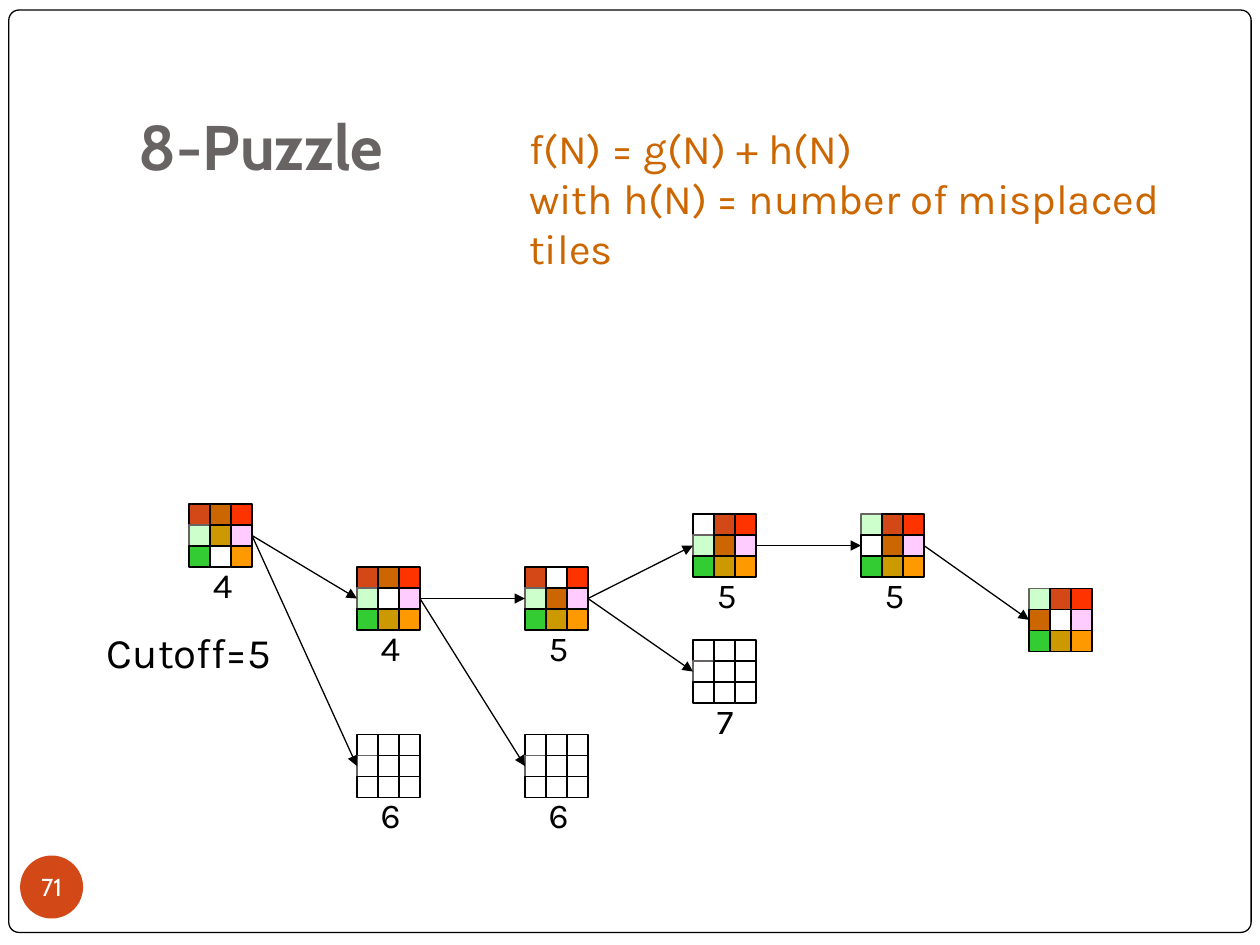
import pptx
import pptx.dml.color
import pptx.enum.shapes
import pptx.enum.text
import pptx.oxml
import pptx.util
from pptx.util import Inches

SHAPE = pptx.enum.shapes.MSO_SHAPE
ANCHOR = pptx.enum.text.MSO_ANCHOR
ALIGN = pptx.enum.text.PP_ALIGN

BLACK, WHITE, GREY, BRICK, BROWN = "000000", "FFFFFF", "696464", "D34817", "CC6600"
# Tile letter: fill, outline
TILES = {
    "D": (BRICK, BLACK), "O": (BROWN, BLACK), "R": ("FF3300", BLACK),
    "L": ("CCFFCC", GREY), "M": ("CC9900", BLACK), "P": ("FFCCFF", BLACK),
    "G": ("33CC33", BLACK), "A": ("FF9900", BLACK),
    "W": (WHITE, BLACK), "E": (WHITE, GREY),
}
UNEXPANDED = "WWWEWWWWW"
BOARD = 0.5
TILE = BOARD / 3
COLUMN_X = [1.5 + col * 4 / 3 for col in range(6)]

# Node: column, top, tiles row by row, cost, parent
NODES = {
    "start": (0, 4, "DORLMPGWA", "4", None),
    "up": (1, 4.5, "DORLWPGMA", "4", "start"),
    "start cut": (1, 5.83, UNEXPANDED, "6", "start"),
    "up cut": (2, 5.83, UNEXPANDED, "6", "up"),
    "up twice": (2, 4.5, "DWRLOPGMA", "5", "up"),
    "right cut": (3, 5.08, UNEXPANDED, "7", "up twice"),
    "left": (3, 4.08, "WDRLOPGMA", "5", "up twice"),
    "down": (4, 4.08, "LDRWOPGMA", "5", "left"),
    "right": (5, 4.67, "LDROWPGMA", None, "down"),
}


def rgb(color):
    return pptx.dml.color.RGBColor.from_string(color)


def add_block(shapes, kind, box, fill, line=None):
    sp = shapes.add_shape(kind, *map(Inches, box))
    sp.shadow.inherit = False
    sp.fill.solid()
    sp.fill.fore_color.rgb = rgb(fill)
    if line:
        sp.line.color.rgb = rgb(line)
        sp.line.width = pptx.util.Pt(0.75)
    else:
        sp.line.fill.background()
    return sp


def set_text(sp, lines, size, color, font="Karla", bold=False, align=ALIGN.LEFT,
             anchor=ANCHOR.TOP, insets=(0.1, 0.05, 0.1, 0.05)):
    tf = sp.text_frame
    frame_format = {"word_wrap": True, "vertical_anchor": anchor,
                    "auto_size": pptx.enum.text.MSO_AUTO_SIZE.NONE}
    for side, inset in zip(("left", "top", "right", "bottom"), insets):
        frame_format["margin_" + side] = Inches(inset)
    for name, value in frame_format.items():
        setattr(tf, name, value)
    for i, line in enumerate(lines):
        p = tf.paragraphs[0] if i == 0 else tf.add_paragraph()
        p.alignment = align
        r = p.add_run()
        r.text = line
        for name, value in {"size": pptx.util.Pt(size), "name": font, "bold": bold}.items():
            setattr(r.font, name, value)
        r.font.color.rgb = rgb(color)


def add_text(shapes, box, lines, size, color):
    set_text(shapes.add_textbox(*map(Inches, box)), lines, size, color)


def add_arrow(shapes, start, end):
    line = shapes.add_connector(pptx.enum.shapes.MSO_CONNECTOR.STRAIGHT,
                                *map(Inches, (*start, *end)))
    line.line.color.rgb = rgb(BLACK)
    line.line.width = pptx.util.Pt(0.75)
    ns = 'xmlns:a="http://schemas.openxmlformats.org/drawingml/2006/main"'
    line.line._get_or_add_ln().append(
        pptx.oxml.parse_xml(f'<a:tailEnd {ns} type="triangle"/>'))
    line._element.spPr.append(pptx.oxml.parse_xml(f"<a:effectLst {ns}/>"))


def add_frame(s, box):
    frame = add_block(s.shapes, SHAPE.ROUNDED_RECTANGLE, box, WHITE, BLACK)
    frame.adjustments[0] = 0.011
    s.shapes._spTree.insert(2, frame._element)  # behind the title


def add_title(s, box):
    title = s.shapes.title
    for name, value in zip(("left", "top", "width", "height"), box):
        setattr(title, name, Inches(value))
    set_text(title, ["8-Puzzle"], 36, GREY, "Cabin", True,
             anchor=ANCHOR.BOTTOM, insets=(0.1, 0.05, 0.1, 0.1))


def add_page_number(s, box):
    badge = add_block(s.shapes, SHAPE.OVAL, box, BRICK)
    set_text(badge, ["71"], 14, WHITE, "Cabin", align=ALIGN.CENTER,
             anchor=ANCHOR.MIDDLE, insets=(0, 0, 0, 0))


def add_node(s, col, top, tiles, cost, parent):
    """Group a board with its cost and the arrow from its parent."""
    shapes = s.shapes.add_group_shape().shapes
    left = COLUMN_X[col]
    if cost:
        add_text(shapes, (left + 0.09, top + 0.42, 0.35, 0.43), [cost], 20, BLACK)
    for i, tile in enumerate(tiles):
        row, column = divmod(i, 3)
        box = (left + column * TILE, top + row * TILE, TILE, TILE)
        add_block(shapes, SHAPE.RECTANGLE, box, *TILES[tile])
    if parent:
        parent_col, parent_top = NODES[parent][:2]
        add_arrow(shapes, (COLUMN_X[parent_col] + BOARD, parent_top + BOARD / 2),
                  (left, top + BOARD / 2))


def main():
    prs = pptx.Presentation()
    prs.slide_width, prs.slide_height = Inches(10), Inches(7.5)
    s = prs.slides.add_slide(prs.slide_layouts[5])

    # Slide furniture
    add_frame(s, (0.07, 0.08, 9.86, 7.32))
    add_title(s, (1, 0.3, 8.5, 1.25))
    add_page_number(s, (0.16, 6.79, 0.5, 0.5))

    # Search tree
    for node in NODES.values():
        add_node(s, *node)

    # Cutoff and evaluation function
    add_text(s.shapes, (0.75, 4.92, 1.52, 0.5), ["Cutoff=5"], 24, BLACK)
    add_text(s.shapes, (4.1, 0.92, 5.82, 0.9),
             ["f(N) = g(N) + h(N)", "with h(N) = number of misplaced tiles"], 24, BROWN)

    prs.save("out.pptx")


if __name__ == "__main__":
    main()
